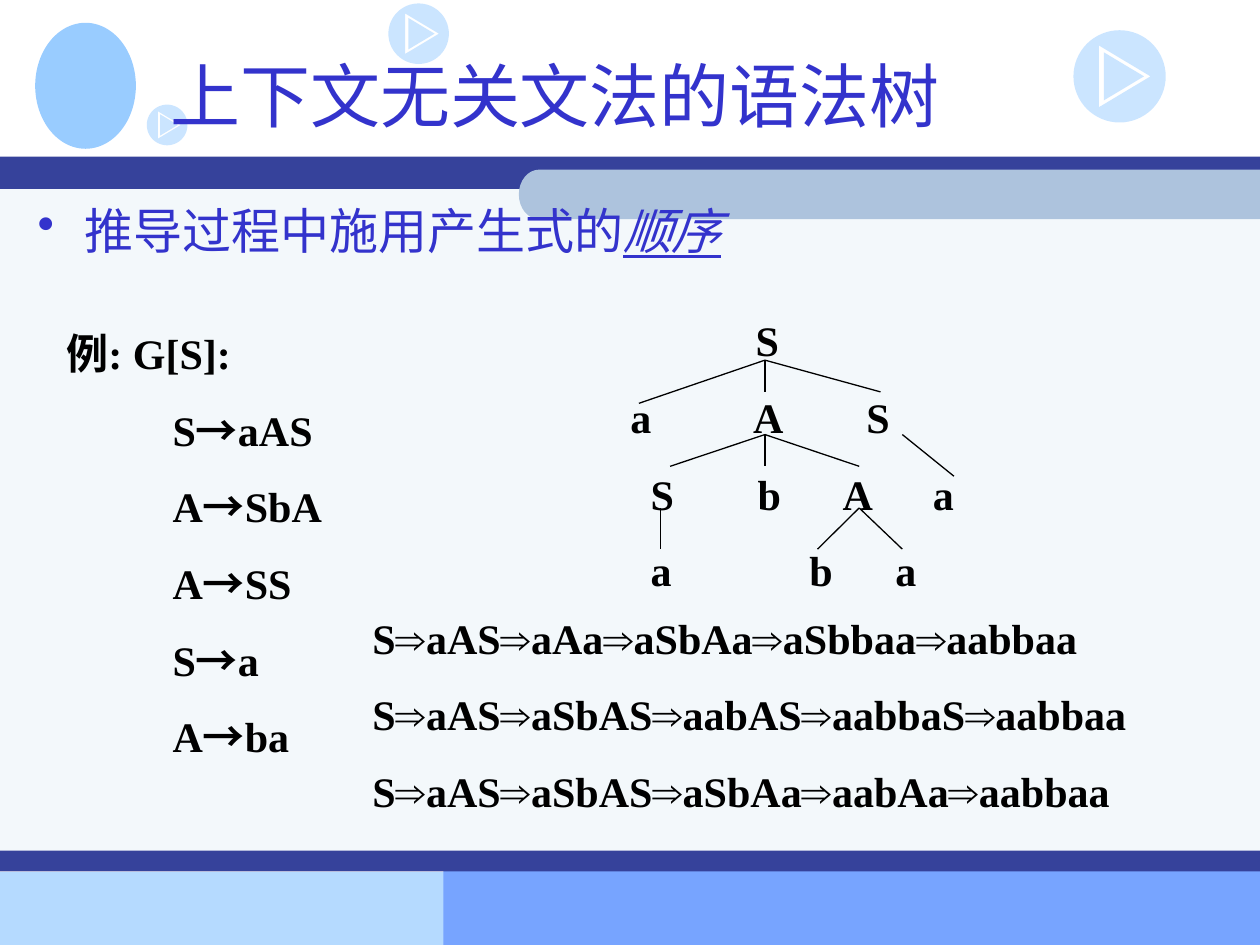
from math import cos, pi, sin

from lxml.etree import SubElement
from pptx import Presentation
from pptx.dml.color import RGBColor
from pptx.enum.shapes import MSO_CONNECTOR, MSO_SHAPE
from pptx.enum.text import MSO_ANCHOR, PP_ALIGN
from pptx.oxml.ns import qn
from pptx.util import Cm, Pt

# Content
TITLE = "上下文无关文法的语法树"
POINT = [("推导过程中施用产生式的", False), ("顺序", True)]
GRAMMAR_HEADING = "例: G[S]:"
RULES = ["S→aAS", "A→SbA", "A→SS", "S→a", "A→ba"]
DERIVATIONS = [
    "S⇒aAS⇒aAa⇒aSbAa⇒aSbbaa⇒aabbaa",
    "S⇒aAS⇒aSbAS⇒aabAS⇒aabbaS⇒aabbaa",
    "S⇒aAS⇒aSbAS⇒aSbAa⇒aabAa⇒aabbaa",
]
# Tree levels: (symbol, centre measured from the text edge in cm)
TREE_LEVELS = [
    [("S", 5.52)],
    [("a", 2.97), ("A", 5.54), ("S", 7.75)],
    [("S", 3.4), ("b", 5.56), ("A", 7.34), ("a", 9.07)],
    [("a", 3.38), ("b", 6.6), ("a", 8.31)],
]
# Tree branches: parent point, child points in cm
TREE_BRANCHES = [
    ((15.42, 7.26), [(15.42, 7.9), (12.88, 8.13), (17.75, 7.9)]),
    ((15.42, 8.76), [(15.42, 9.4), (13.51, 9.4), (17.32, 9.4)]),
    ((18.19, 8.76), [(19.23, 9.6)]),
    ((13.31, 10.24), [(13.31, 11.07)]),
    ((17.32, 10.24), [(16.48, 11.07), (18.19, 11.07)]),
]

# Backdrop: left, top, width, height in cm, colour
WIDTH, HEIGHT = 25.4, 19.05
BANDS = [
    (0, 17.58, 10.8, 1.47, "B5DAFF"),
    (8.94, 17.55, 16.46, 1.5, "77A4FF"),
    (0, 3.56, WIDTH, 14, "F3F8FB"),
    (0, 3.16, WIDTH, 0.65, "36429B"),
    (0, 17.15, WIDTH, 0.42, "36429B"),
]
PLAY_ICONS = [(8.44, 0.68, 0.61), (22.57, 1.54, 0.93), (3.37, 2.52, 0.41)]
OUTER_TRIANGLE = [(-0.45, -0.67), (0.67, 0), (-0.45, 0.67)]
INNER_TRIANGLE = [(-0.34, -0.52), (0.53, 0), (-0.34, 0.52)]
BLUE, BLACK, PALE_BLUE = "3333CC", "000000", "99CCFF"
SERIF, CHINESE, SANS = "Times New Roman", "Noto Sans CJK SC", "Arial"

deck = Presentation()
deck.slide_width, deck.slide_height = Cm(WIDTH), Cm(HEIGHT)
page = deck.slides.add_slide(deck.slide_layouts[5])
shapes = page.shapes


def colour(value):
    return RGBColor.from_string(value)


def paint(shape, value):
    shape.shadow.inherit = False
    shape.fill.solid()
    shape.fill.fore_color.rgb = colour(value)
    shape.line.fill.background()


def add_outline(contours, value):
    """Fill one freeform made of closed contours given in cm."""
    builder = None
    for contour in contours:
        points = [(round(x * 1000), round(y * 1000)) for x, y in contour]
        if builder is None:
            builder = shapes.build_freeform(*points[0], scale=Cm(0.001))
        else:
            builder.move_to(*points[0])
        builder.add_line_segments(points[1:], close=True)
    shape = builder.convert_to_shape()
    paint(shape, value)
    return shape


def add_span(para, text, size=24, font=SERIF, value=BLACK, bold=False):
    span = para.add_run()
    span.text = text
    span.font.size, span.font.bold = Pt(size), bold
    span.font.color.rgb = colour(value)
    span.font.name = font
    SubElement(span.font._element, qn("a:ea"), typeface=CHINESE)
    return span


def add_symbols(para, text, arrow, arrow_font):
    """Write a formula whose arrows have their own font."""
    for index, part in enumerate(text.split(arrow)):
        if index:
            add_span(para, arrow, font=arrow_font, bold=True)
        add_span(para, part, bold=True)


def add_box(left, top, width, height):
    box = shapes.add_textbox(Cm(left), Cm(top), Cm(width), Cm(height))
    box.text_frame.word_wrap = True
    return box.text_frame


def add_lines(frame, count):
    """Give the frame evenly spaced paragraphs."""
    paras = [frame.paragraphs[0]] + [frame.add_paragraph() for _ in range(count - 1)]
    for index, para in enumerate(paras):
        para.line_spacing = Pt(28.8)
        para.space_before = Pt(15 if index else 0)
    return paras


def add_tabs(para, positions, alignment):
    tabs = SubElement(para._p.get_or_add_pPr(), qn("a:tabLst"))
    for position in positions:
        SubElement(tabs, qn("a:tab"), pos=str(Cm(position)), algn=alignment)


# Bands
for left, top, width, height, value in BANDS:
    band = shapes.add_shape(MSO_SHAPE.RECTANGLE, Cm(left), Cm(top), Cm(width), Cm(height))
    paint(band, value)

# Bar with a rounded left end
left_end = [(10.87 - 0.41 * sin(pi * step / 16), 3.92 - 0.5 * cos(pi * step / 16))
            for step in range(17)]
add_outline([[(WIDTH, 3.42)] + left_end + [(WIDTH, 4.42)]], "ADC3DD")

# Plain emblem
paint(shapes.add_shape(MSO_SHAPE.OVAL, Cm(0.71), Cm(0.46), Cm(2.03), Cm(2.54)), PALE_BLUE)

# Play icons, half transparent
circle = [(cos(pi * step / 32), sin(pi * step / 32)) for step in range(64)]
for centre_x, centre_y, radius in PLAY_ICONS:
    icon = add_outline([[(centre_x + radius * x, centre_y + radius * y) for x, y in contour]
                        for contour in (circle, OUTER_TRIANGLE, INNER_TRIANGLE)], PALE_BLUE)
    fill = icon._element.spPr.find(qn("a:solidFill"))
    SubElement(fill[0], qn("a:alpha"), val="50000")

# Title, brought in front of the backdrop
title = shapes.title
title.left, title.top, title.width, title.height = Cm(3.18), Cm(0.43), Cm(21.59), Cm(2.97)
title.text_frame.vertical_anchor = MSO_ANCHOR.MIDDLE
title_para = title.text_frame.paragraphs[0]
title_para.alignment = PP_ALIGN.LEFT
add_span(title_para, TITLE, 40, CHINESE, BLUE)
shapes._spTree.append(title._element)

# Bulleted point
point_para = add_box(0.51, 3.91, 24.41, 12.6).paragraphs[0]
properties = point_para._p.get_or_add_pPr()
properties.set("marL", str(Cm(0.95)))
properties.set("indent", str(Cm(-0.95)))
SubElement(SubElement(properties, qn("a:buClr")), qn("a:srgbClr"), val=BLUE)
SubElement(properties, qn("a:buChar"), char="•")
for text, stressed in POINT:
    span = add_span(point_para, text, 28, value=BLUE)
    span.font.italic = span.font.underline = stressed

# Grammar
heading, *rule_paras = add_lines(add_box(0.69, 6.48, 6.55, 8.99), len(RULES) + 1)
heading._p.get_or_add_pPr().set("indent", str(Cm(0.4)))
add_span(heading, GRAMMAR_HEADING, bold=True)
for para, rule in zip(rule_paras, RULES):
    add_tabs(para, [2.54], "l")
    add_symbols(para, "\t" + rule, "→", CHINESE)

# Syntax tree
level_paras = add_lines(add_box(9.7, 6.22, 11.63, 5.92), len(TREE_LEVELS))
for para, level in zip(level_paras, TREE_LEVELS):
    add_tabs(para, [centre for _, centre in level], "ctr")
    add_span(para, "".join("\t" + symbol for symbol, _ in level), bold=True)
for parent, children in TREE_BRANCHES:
    for child in children:
        ends = [Cm(value) for value in parent + child]
        branch = shapes.add_connector(MSO_CONNECTOR.STRAIGHT, *ends)
        branch.line.color.rgb = colour(BLACK)
        branch.line.width = Pt(0.75)
        SubElement(branch._element.spPr, qn("a:effectLst"))

# Derivations
derivation_paras = add_lines(add_box(7.26, 12.22, 17.35, 4.37), len(DERIVATIONS))
for para, derivation in zip(derivation_paras, DERIVATIONS):
    add_symbols(para, derivation, "⇒", SANS)

deck.save("out.pptx")
